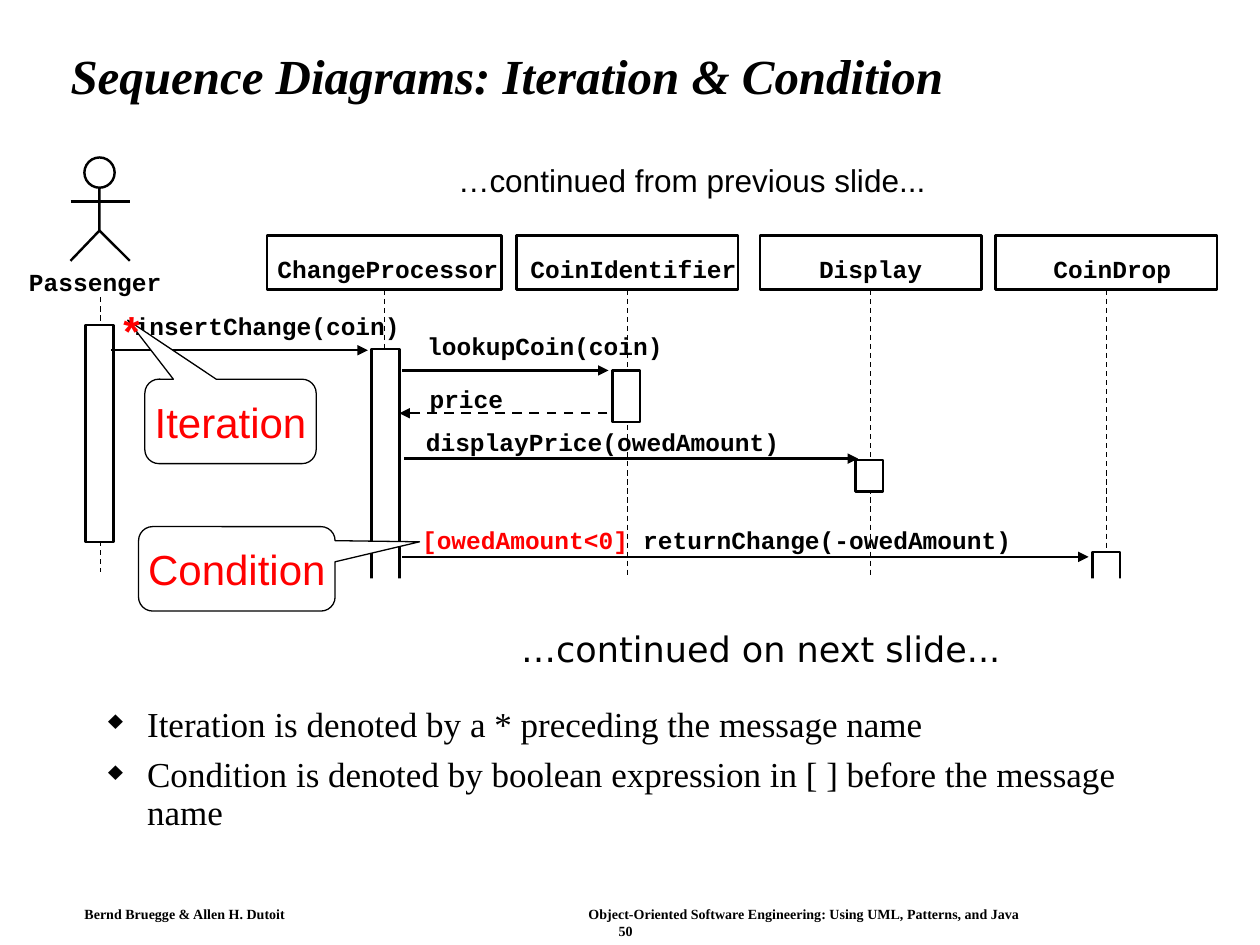
from dataclasses import dataclass

from lxml.etree import SubElement
from pptx import Presentation
from pptx.dml.color import RGBColor
from pptx.enum.dml import MSO_LINE
from pptx.enum.shapes import MSO_CONNECTOR, MSO_SHAPE
from pptx.enum.text import MSO_ANCHOR, MSO_AUTO_SIZE, PP_ALIGN
from pptx.oxml.ns import qn
from pptx.util import Inches, Pt


@dataclass(frozen=True)
class Theme:
    black: RGBColor = RGBColor(0, 0, 0)
    white: RGBColor = RGBColor(255, 255, 255)
    red: RGBColor = RGBColor(255, 0, 0)
    serif: str = "Times New Roman"
    sans: str = "Arial"
    wide: str = "DejaVu Sans"
    code: str = "Courier New"
    title_size: int = 28
    callout_size: int = 24
    body_size: int = 20
    note_size: int = 18
    code_size: int = 14
    footer_size: int = 8
    thick: float = 1.4
    thin: float = 0.75


THEME = Theme()


@dataclass(frozen=True)
class Box:
    left: float
    top: float
    width: float
    height: float

    def inner(self, left, top, width, height):
        """Return a box placed relative to this one's corner."""
        return Box(self.left + left, self.top + top, width, height)

    def lengths(self):
        return [Inches(v) for v in (self.left, self.top, self.width, self.height)]


def add_run(para, text, font, size, color=THEME.black, bold=False, italic=False):
    span = para.add_run()
    span.text = text
    span.font.name, span.font.size = font, Pt(size)
    span.font.bold, span.font.italic = bold, italic
    span.font.color.rgb = color


def set_frame(shape, insets=(0.1, 0.05, 0.1, 0.05), anchor=MSO_ANCHOR.TOP,
              wrap=True, align=PP_ALIGN.LEFT):
    """Set up the text frame and return its first paragraph."""
    frame = shape.text_frame
    frame.auto_size = MSO_AUTO_SIZE.NONE
    frame.word_wrap, frame.vertical_anchor = wrap, anchor
    (frame.margin_left, frame.margin_top,
     frame.margin_right, frame.margin_bottom) = [Inches(v) for v in insets]
    para = frame.paragraphs[0]
    para.alignment = align
    return para


def add_figure(page, kind, box, line=THEME.thick, fill=THEME.white):
    shape = page.shapes.add_shape(kind, *box.lengths())
    shape.shadow.inherit = False
    if fill is None:
        shape.fill.background()
    else:
        shape.fill.solid()
        shape.fill.fore_color.rgb = fill
    if line is None:
        shape.line.fill.background()
    else:
        shape.line.color.rgb = THEME.black
        shape.line.width = Pt(line)
    return shape


def add_line(page, start, end, width=THEME.thick, dashed=False, arrow=False):
    line = page.shapes.add_connector(
        MSO_CONNECTOR.STRAIGHT, *[Inches(v) for v in (*start, *end)])
    line.line.color.rgb = THEME.black
    line.line.width = Pt(width)
    if dashed:
        line.line.dash_style = MSO_LINE.DASH
    if arrow:
        SubElement(line.line._get_or_add_ln(), qn("a:tailEnd"), type="triangle")
    SubElement(line._element.spPr, qn("a:effectLst"))


def add_code(page, box, runs):
    para = set_frame(page.shapes.add_textbox(*box.lengths()), (0, 0, 0, 0))
    for text, color in runs:
        add_run(para, text, THEME.code, THEME.code_size, color, bold=True)


def add_title(page, box):
    title = page.shapes.title
    title.left, title.top, title.width, title.height = box.lengths()
    para = set_frame(title, anchor=MSO_ANCHOR.MIDDLE)
    para.line_spacing = 0.9
    add_run(para, "Sequence Diagrams: Iteration & Condition", THEME.serif,
            THEME.title_size, bold=True, italic=True)


def add_actor(page, box):
    """Draw the stick figure with its name below."""
    middle, hip, feet = box.left + 0.56, box.top + 0.58, box.top + 0.82
    left, right = middle - 0.23, middle + 0.24
    outline = page.shapes.build_freeform(
        Inches(middle), Inches(box.top + 0.17), scale=1.0)
    outline.add_line_segments(
        [(Inches(middle), Inches(hip)), (Inches(left), Inches(feet))], close=False)
    body = outline.convert_to_shape()
    body.shadow.inherit = False
    body.fill.background()
    body.line.color.rgb = THEME.black
    body.line.width = Pt(THEME.thick)
    add_line(page, (middle, hip), (right, feet))
    add_line(page, (left, box.top + 0.35), (right, box.top + 0.35))
    add_figure(page, MSO_SHAPE.OVAL, box.inner(0.44, 0, 0.24, 0.24))
    add_code(page, box.inner(0, 0.87, 1.15, 0.23), [("Passenger", THEME.black)])


def add_participant(page, box, name, shift, life_end):
    """Draw a named object, its label moved right by shift, and its lifeline."""
    head = add_figure(page, MSO_SHAPE.RECTANGLE, box, fill=None)
    para = set_frame(head, (2 * shift, 0, 0, 0.05), MSO_ANCHOR.BOTTOM, False,
                     PP_ALIGN.CENTER)
    add_run(para, name, THEME.code, THEME.code_size, bold=True)
    middle = box.left + box.width / 2
    add_line(page, (middle, box.top + box.height), (middle, life_end),
             THEME.thin, dashed=True)


def add_callout(page, box, text, tip):
    callout = add_figure(page, MSO_SHAPE.ROUNDED_RECTANGULAR_CALLOUT, box, THEME.thin)
    callout.adjustments[0], callout.adjustments[1] = tip
    para = set_frame(callout, anchor=MSO_ANCHOR.MIDDLE, wrap=False,
                     align=PP_ALIGN.CENTER)
    add_run(para, text, THEME.sans, THEME.callout_size, THEME.red)


def add_note(page, box, text, font, size):
    note = add_figure(page, MSO_SHAPE.RECTANGLE, box, line=None)
    para = set_frame(note, anchor=MSO_ANCHOR.BOTTOM, align=PP_ALIGN.CENTER)
    add_run(para, text, font, size)


def add_diagram(page, box):
    x, y = box.left, box.top
    add_line(page, (x + 0.6, y + 1.16), (x + 0.6, y + 3.34), THEME.thin, dashed=True)
    add_actor(page, box.inner(0.03, 0.05, 1.05, 1.1))
    for name, left, width, shift in [
            ("ChangeProcessor", 1.92, 1.86, 0.03), ("CoinIdentifier", 3.9, 1.76, 0.05),
            ("Display", 5.83, 1.76, 0), ("CoinDrop", 7.7, 1.76, 0.05)]:
        add_participant(page, box.inner(left, 0.67, width, 0.43), name, shift, y + 3.83)
    for middle, top, height in [(0.59, 1.38, 1.72), (2.86, 1.57, 2.09),
                                (4.77, 1.74, 0.41), (6.7, 2.45, 0.25),
                                (8.58, 3.18, 0.25)]:
        add_figure(page, MSO_SHAPE.RECTANGLE,
                   box.inner(middle - 0.11, top, 0.22, height))
    for start, end, level, left, rise, dashed, runs in [
            (0.68, 2.72, 1.58, 0.87, 0.31, False, [("insertChange(coin)", THEME.black)]),
            (2.99, 4.63, 1.74, 3.19, 0.31, False, [("lookupCoin(coin)", THEME.black)]),
            (4.62, 2.97, 2.08, 3.21, 0.23, True, [("price", THEME.black)]),
            (3.01, 6.61, 2.44, 3.18, 0.25, False,
             [("displayPrice(owedAmount)", THEME.black)]),
            (2.99, 8.44, 3.22, 3.15, 0.25, False,
             [("[owedAmount<0]", THEME.red),
              (" returnChange(-owedAmount)", THEME.black)])]:
        add_line(page, (x + start, y + level), (x + end, y + level),
                 dashed=dashed, arrow=True)
        width = 0.12 * sum(len(text) for text, _ in runs)
        add_code(page, box.inner(left, level - rise, width, 0.23), runs)
    add_callout(page, box.inner(0.95, 1.81, 1.36, 0.67), "Iteration", (-0.6, -1.2))
    add_callout(page, box.inner(0.9, 2.98, 1.56, 0.67), "Condition", (0.93, -0.32))
    add_note(page, box.inner(2.73, 3.39, 6.22, 0.77), "…continued on next slide...",
             THEME.wide, THEME.body_size)
    add_note(page, box.inner(2.18, 0.03, 6.22, 0.4),
             "…continued from previous slide...", THEME.sans, THEME.note_size)
    star = page.shapes.add_textbox(*box.inner(0.68, 1.17, 0.33, 0.5).lengths())
    para = set_frame(star, anchor=MSO_ANCHOR.MIDDLE, wrap=False, align=PP_ALIGN.CENTER)
    add_run(para, "*", THEME.sans, THEME.callout_size, THEME.red, bold=True)


def add_bullets(page, box, lines):
    shape = page.shapes.add_textbox(*box.lengths())
    para = set_frame(shape)
    for index, text in enumerate(lines):
        if index:
            para = shape.text_frame.add_paragraph()
            para.space_before = Pt(7.5)
        para.line_spacing = 0.9
        props = para._p.get_or_add_pPr()
        props.set("marL", str(Inches(0.31)))
        props.set("indent", str(-Inches(0.31)))
        SubElement(props, qn("a:buSzPct"), val="75000")
        SubElement(props, qn("a:buChar"), char="♦")
        add_run(para, text, THEME.serif, THEME.body_size)


def add_footer(page, box):
    shape = page.shapes.add_textbox(*box.lengths())
    para = set_frame(shape, (0.08, 0.04, 0.08, 0.04))
    tabs = SubElement(para._p.get_or_add_pPr(), qn("a:tabLst"))
    SubElement(tabs, qn("a:tab"), pos=str(Inches(4)), algn="l")
    number = shape.text_frame.add_paragraph()
    number.alignment = PP_ALIGN.CENTER
    for target, text in [
            (para, "Bernd Bruegge & Allen H. Dutoit"),
            (para, "\tObject-Oriented Software Engineering: Using UML, Patterns, and Java"),
            (number, "50")]:
        add_run(target, text, THEME.serif, THEME.footer_size, bold=True)


def main():
    deck = Presentation()
    deck.slide_width, deck.slide_height = Inches(10), Inches(7.5)
    page = deck.slides.add_slide(deck.slide_layouts[5])
    add_title(page, Box(0.46, 0.24, 8.92, 0.77))
    add_diagram(page, Box(0.2, 1.2, 9.5, 4.2))
    add_bullets(page, Box(0.76, 5.56, 8.5, 1.42), [
        "Iteration is denoted by a * preceding the message name",
        "Condition is denoted by boolean expression in [ ] before the message name"])
    add_footer(page, Box(0.59, 7.15, 8.75, 0.33))
    deck.save("out.pptx")


if __name__ == "__main__":
    main()
